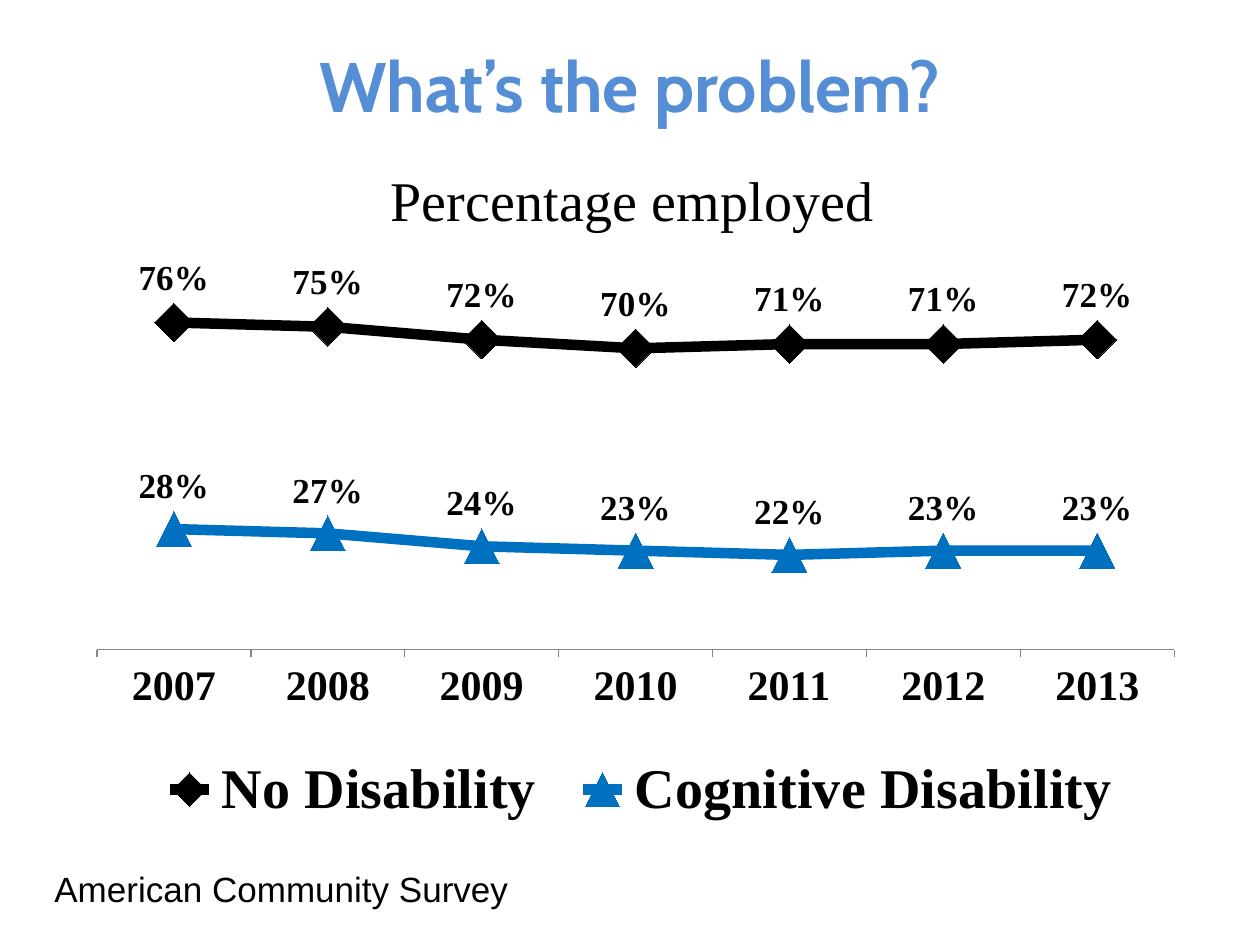
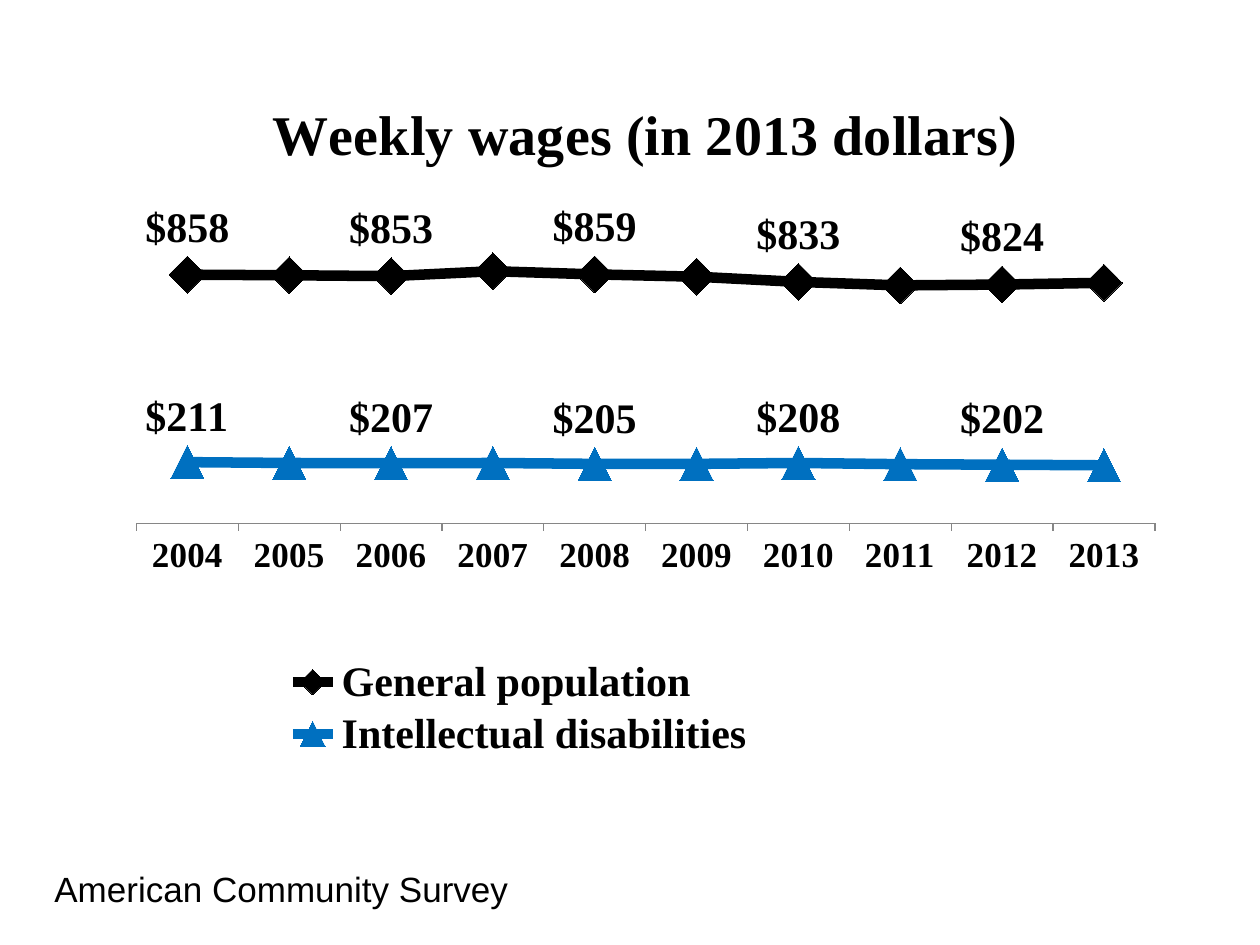
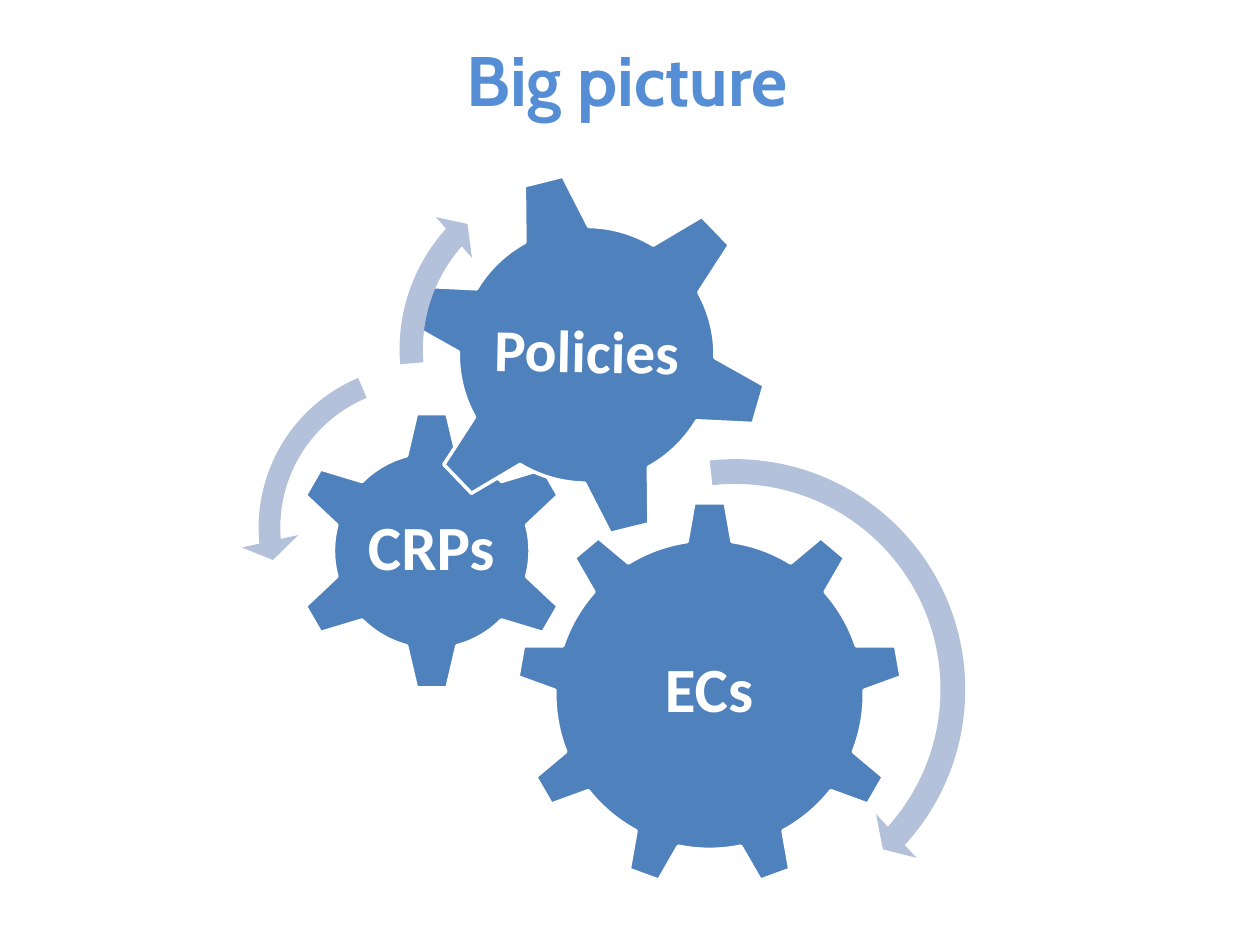
from pptx import Presentation
from pptx.chart.data import CategoryChartData
from pptx.dml.color import RGBColor
from pptx.enum.chart import (XL_CHART_TYPE, XL_LABEL_POSITION, XL_LEGEND_POSITION,
                             XL_MARKER_STYLE, XL_TICK_MARK)
from pptx.enum.shapes import MSO_SHAPE
from pptx.enum.text import MSO_ANCHOR, PP_ALIGN
from pptx.oxml.ns import qn
from pptx.oxml.xmlchemy import OxmlElement
from pptx.util import Pt

BLACK, WHITE, GREY = "000000", "FFFFFF", "868686"
BLUE, SKY, GEAR, ARROW = "0070C0", "558ED5", "4F81BD", "B3C1DB"
SERIF = "Times New Roman"
color = RGBColor.from_string


def write(slide, text, box, size, face, tint, bold=True, inset=(7.2, 3.6), line=None):
    """Add a text box; bold text is centred in its box, plain text starts top left."""
    shape = slide.shapes.add_textbox(*map(Pt, box))
    frame = shape.text_frame
    frame.word_wrap = True
    frame.margin_left = frame.margin_right = Pt(inset[0])
    frame.margin_top = frame.margin_bottom = Pt(inset[1])
    frame.vertical_anchor = MSO_ANCHOR.MIDDLE if bold else MSO_ANCHOR.TOP
    para = frame.paragraphs[0]
    para.alignment = PP_ALIGN.CENTER if bold else PP_ALIGN.LEFT
    para.line_spacing = line
    run = para.add_run()
    run.text = text
    run.font.name, run.font.size, run.font.bold = face, Pt(size), bold
    run.font.color.rgb = color(tint)
    return shape


def place(part, index, spots, inner=False):
    """Fix a chart part at x, y and, if given, w, h, as shares of the chart."""
    old = part.find(qn("c:layout"))
    if old is not None:
        part.remove(old)
    layout, manual = OxmlElement("c:layout"), OxmlElement("c:manualLayout")
    layout.append(manual)
    pairs = [("layoutTarget", "inner")] if inner else []
    pairs += [("xMode", "edge"), ("yMode", "edge"), *zip("xywh", spots)]
    for name, value in pairs:
        item = OxmlElement("c:" + name)
        item.set("val", str(value))
        manual.append(item)
    part.insert(index, layout)


deck = Presentation()
deck.slide_width, deck.slide_height = Pt(720), Pt(540)
blank = deck.slide_layouts[6]
jobs, wages, big = [deck.slides.add_slide(blank) for _ in range(3)]

write(jobs, "What’s the problem?", (36, 18, 648, 60), 40, "Cabin", SKY)
write(big, "Big picture ", (6, 17, 714, 56), 40, "Cabin", SKY)

# Line charts
charts = [
    dict(slide=jobs, box=(36, 72, 648, 410), title="Percentage employed", bold=False,
         years=range(2007, 2014), top=1, step=0.2, form="0%",
         lines=[("No Disability", [0.76, 0.75, 0.72, 0.7, 0.71, 0.71, 0.72]),
                ("Cognitive Disability", [0.28, 0.27, 0.24, 0.23, 0.22, 0.23, 0.23])],
         sizes=(24, 32, 20), marks=(22, 20), skip=[],
         head=(0.28, 0.04), plot=(0.03, 0.13, 0.95, 0.6), key=(0.07, 0.87, 0.88, 0.11)),
    dict(slide=wages, box=(66, 30, 600, 414), title="Weekly wages (in 2013 dollars)", bold=True,
         years=range(2004, 2014), top=1000, step=250, form='"$"#,##0',
         lines=[("General population", [858, 856, 853, 870, 859, 851, 833, 821, 824, 830]),
                ("Intellectual disabilities",
                 [211, 208, 207, 208, 205, 205, 208, 204, 202, 200])],
         sizes=(20, 24, 24), marks=(21, 19), skip=range(1, 10, 2),
         head=(0.14, 0.05), plot=(0.02, 0.25, 0.97, 0.4), key=(0.15, 0.83, 0.47, 0.15)),
]
looks = [(BLACK, XL_MARKER_STYLE.DIAMOND), (BLUE, XL_MARKER_STYLE.TRIANGLE)]

for c in charts:
    data = CategoryChartData(number_format=c["form"])
    data.categories = [str(year) for year in c["years"]]
    for name, values in c["lines"]:
        data.add_series(name, values)
    chart = c["slide"].shapes.add_chart(
        XL_CHART_TYPE.LINE_MARKERS, *map(Pt, c["box"]), data).chart
    chart.font.name, chart.font.size = "Calibri", Pt(10)
    chart.font.color.rgb = color(BLACK)

    chart.has_title = True
    run = chart.chart_title.text_frame.paragraphs[0].add_run()
    run.text = c["title"]
    chart.has_legend = True
    legend = chart.legend
    legend.position = XL_LEGEND_POSITION.RIGHT
    legend.include_in_layout = False

    years, scale = chart.category_axis, chart.value_axis
    years.has_major_gridlines = scale.has_major_gridlines = False
    years.major_tick_mark = XL_TICK_MARK.OUTSIDE
    years.format.line.color.rgb = color(GREY)
    scale.minimum_scale, scale.maximum_scale = 0, c["top"]
    scale.major_unit = c["step"]
    scale.visible = False

    tick, key, label = c["sizes"]
    fonts = [(run.font, 32, c["bold"]), (years.tick_labels.font, tick, True),
             (legend.font, key, True)]
    for series, (tint, style), mark in zip(chart.plots[0].series, looks, c["marks"]):
        series.smooth = False
        series.format.line.width = Pt(6)
        series.format.line.color.rgb = color(tint)
        series.marker.style, series.marker.size = style, mark
        series.marker.format.fill.solid()
        series.marker.format.fill.fore_color.rgb = color(tint)
        series.marker.format.line.color.rgb = color(tint)
        labels = series.data_labels
        labels.show_value = True
        labels.position = XL_LABEL_POSITION.ABOVE
        labels.number_format, labels.number_format_is_linked = c["form"], False
        fonts.append((labels.font, label, True))
        for spot, point in enumerate(c["skip"]):
            gone = OxmlElement("c:dLbl")
            for name, value in (("c:idx", point), ("c:delete", 1)):
                item = OxmlElement(name)
                item.set("val", str(value))
                gone.append(item)
            labels._element.insert(spot, gone)
    for font, size, bold in fonts:
        font.name, font.size, font.bold = SERIF, Pt(size), bold
        font.color.rgb = color(BLACK)

    place(chart._chartSpace.chart.plotArea, 0, c["plot"], inner=True)
    place(chart.chart_title._element, 1, c["head"])
    place(legend._element, 1, c["key"])
    write(c["slide"], "American Community Survey", (24, 492, 360, 31), 20, "Arial", BLACK,
          bold=False)

# Gears: kind, left, top, side, turn, label, label box, label size, label turn
gears = [
    (MSO_SHAPE.GEAR_9, 295, 286.5, 221, 0, "ECs", (339, 338.5, 132.5, 114), 36, 0),
    (MSO_SHAPE.GEAR_6, 166.5, 234.5, 160.5, 0, "CRPs", (206.5, 275, 80, 79), 36, 0),
    (MSO_SHAPE.GEAR_6, 230.5, 98, 209.5, 346.1, "Policies", (276.5, 143.5, 117.5, 117.5), 34, 1.1),
]
for kind, left, top, side, turn, text, box, size, tilt in gears:
    gear = big.shapes.add_shape(kind, Pt(left), Pt(top), Pt(side), Pt(side))
    gear.shadow.inherit = False
    gear.rotation = turn
    gear.fill.solid()
    gear.fill.fore_color.rgb = color(GEAR)
    gear.line.color.rgb = color(WHITE)
    gear.line.width = Pt(2)
    note = write(big, text, box, size, "Calibri", WHITE, inset=(3.6, 3.6), line=0.9)
    note.rotation = tilt

# Turning arrows: kind, left, top, side, adjustments
arrows = [
    (MSO_SHAPE.CIRCULAR_ARROW, 278.5, 252.5, 283, (0.05, 2.99, 25.34, 158.23, 0.06)),
    (MSO_SHAPE.LEFT_CIRCULAR_ARROW, 137.5, 198.5, 206, (0.06, 4.3, 104.89, 148.38, 0.08)),
    (MSO_SHAPE.CIRCULAR_ARROW, 219.5, 88.5, 222, (0.06, 3.94, 133.14, 105.08, 0.07)),
]
for kind, left, top, side, bends in arrows:
    arrow = big.shapes.add_shape(kind, Pt(left), Pt(top), Pt(side), Pt(side))
    arrow.shadow.inherit = False
    arrow.fill.solid()
    arrow.fill.fore_color.rgb = color(ARROW)
    arrow.line.fill.background()
    for spot, bend in enumerate(bends):
        arrow.adjustments[spot] = bend

deck.save("out.pptx")
